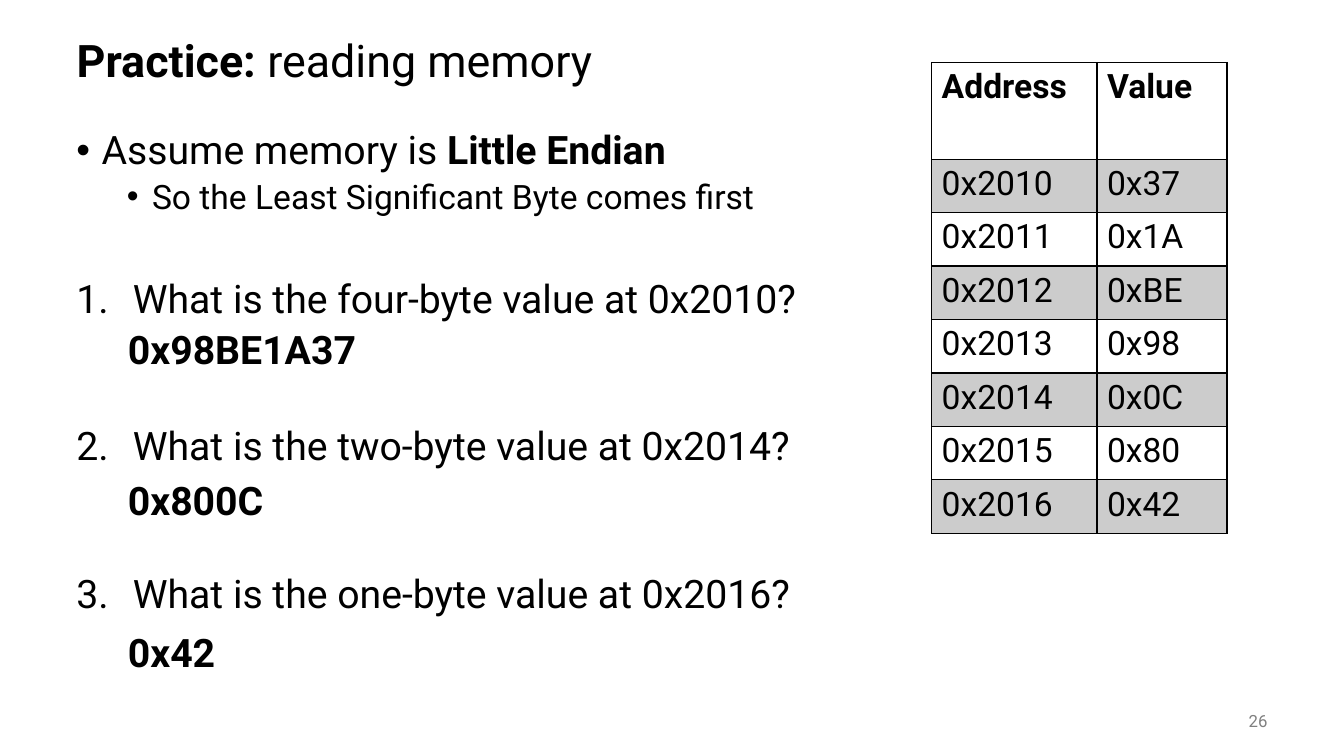
from pptx import Presentation
from pptx.dml.color import RGBColor
from pptx.enum.text import MSO_ANCHOR, PP_ALIGN
from pptx.oxml import parse_xml
from pptx.oxml.ns import nsdecls
from pptx.util import Inches, Pt

MIDDLE, TOP = MSO_ANCHOR.MIDDLE, MSO_ANCHOR.TOP
LEFT, RIGHT = PP_ALIGN.LEFT, PP_ALIGN.RIGHT


def add_span(para, text, size, bold=False, color="000000"):
    span = para.add_run()
    span.text = text
    span.font.name = "Roboto"
    span.font.size = Pt(size)
    span.font.bold = bold
    span.font.color.rgb = RGBColor.from_string(color)


def add_box(page, left, top, width, height, anchor=TOP):
    frame = page.shapes.add_textbox(
        Inches(left), Inches(top), Inches(width), Inches(height)).text_frame
    frame.word_wrap = True
    frame.vertical_anchor = anchor
    return frame


deck = Presentation()
deck.slide_width, deck.slide_height = Inches(13.33), Inches(7.5)
page = deck.slides.add_slide(deck.slide_layouts[5])

# Title
title = page.shapes.title
title.left, title.top = Inches(0.66), Inches(0.25)
title.width, title.height = Inches(12), Inches(0.75)
title.text_frame.vertical_anchor = MIDDLE
para = title.text_frame.paragraphs[0]
para.alignment = LEFT
para.line_spacing = 0.9
add_span(para, "Practice:", 32, True)
add_span(para, " reading memory", 32)

# Assumptions and questions: spans, size, indent, hanging, space before, marker
DOT = '<a:buChar {} char="•"/>'
NUMBER = '<a:buAutoNum {} type="arabicPeriod"/>'
lines = [
    ([("Assume memory is ", False), ("Little Endian", True)], 28, 0.25, 0.25, 0, DOT),
    ([("So the Least Significant Byte comes first", False)], 24, 0.75, 0.25, 5, DOT),
]
questions = [("four", "0x2010", 45), ("two", "0x2014", 75), ("one", "0x2016", 75)]
for count, address, gap in questions:
    question = f"What is the {count}-byte value at {address}?"
    lines.append(([(question, False)], 28, 0.56, 0.56, gap, NUMBER))

body = add_box(page, 0.66, 1.25, 12, 5.5)
for index, (spans, size, indent, hanging, gap, marker) in enumerate(lines):
    para = body.add_paragraph() if index else body.paragraphs[0]
    para.line_spacing = 0.9
    para.space_before = Pt(gap)
    properties = para._p.get_or_add_pPr()
    properties.set("marL", str(Inches(indent)))
    properties.set("indent", str(-Inches(hanging)))
    properties.append(parse_xml(f'<a:buFont {nsdecls("a")} typeface="Arial"/>'))
    properties.append(parse_xml(marker.format(nsdecls("a"))))
    for text, bold in spans:
        add_span(para, text, size, bold)

# Slide number
number = add_box(page, 11.67, 6.95, 1, 0.4, MIDDLE).paragraphs[0]
number.alignment = RIGHT
add_span(number, "26", 12, color="808080")

# Memory table
memory = [("Address", "Value"), ("0x2010", "0x37"), ("0x2011", "0x1A"),
          ("0x2012", "0xBE"), ("0x2013", "0x98"), ("0x2014", "0x0C"),
          ("0x2015", "0x80"), ("0x2016", "0x42")]
table = page.shapes.add_table(len(memory), 2, Inches(9.24), Inches(0.62),
                              Inches(2.93), Inches(4.69)).table
table.first_row = table.horz_banding = False
table.columns[0].width, table.columns[1].width = Inches(1.64), Inches(1.29)
for row, values in enumerate(memory):
    table.rows[row].height = Inches(0.53 if row else 0.96)
    for column, value in enumerate(values):
        cell = table.cell(row, column)
        add_span(cell.text_frame.paragraphs[0], value, 24, row == 0)
        for side in ("lnL", "lnR", "lnT", "lnB"):
            cell._tc.get_or_add_tcPr().append(parse_xml(
                f'<a:{side} {nsdecls("a")} w="{Pt(1)}"><a:solidFill>'
                f'<a:srgbClr val="000000"/></a:solidFill></a:{side}>'))
        if row % 2:
            cell.fill.solid()
            cell.fill.fore_color.rgb = RGBColor.from_string("CCCCCC")
        else:
            cell.fill.background()

# Answers
answers = [("0x98BE1A37", 3.05), ("0x800C", 6.67), ("0x42", 6.67)]
for index, (answer, width) in enumerate(answers):
    box = add_box(page, 1.17, 3.18 + 1.5 * index, width, 0.57)
    add_span(box.paragraphs[0], answer, 28, True)

deck.save("out.pptx")
